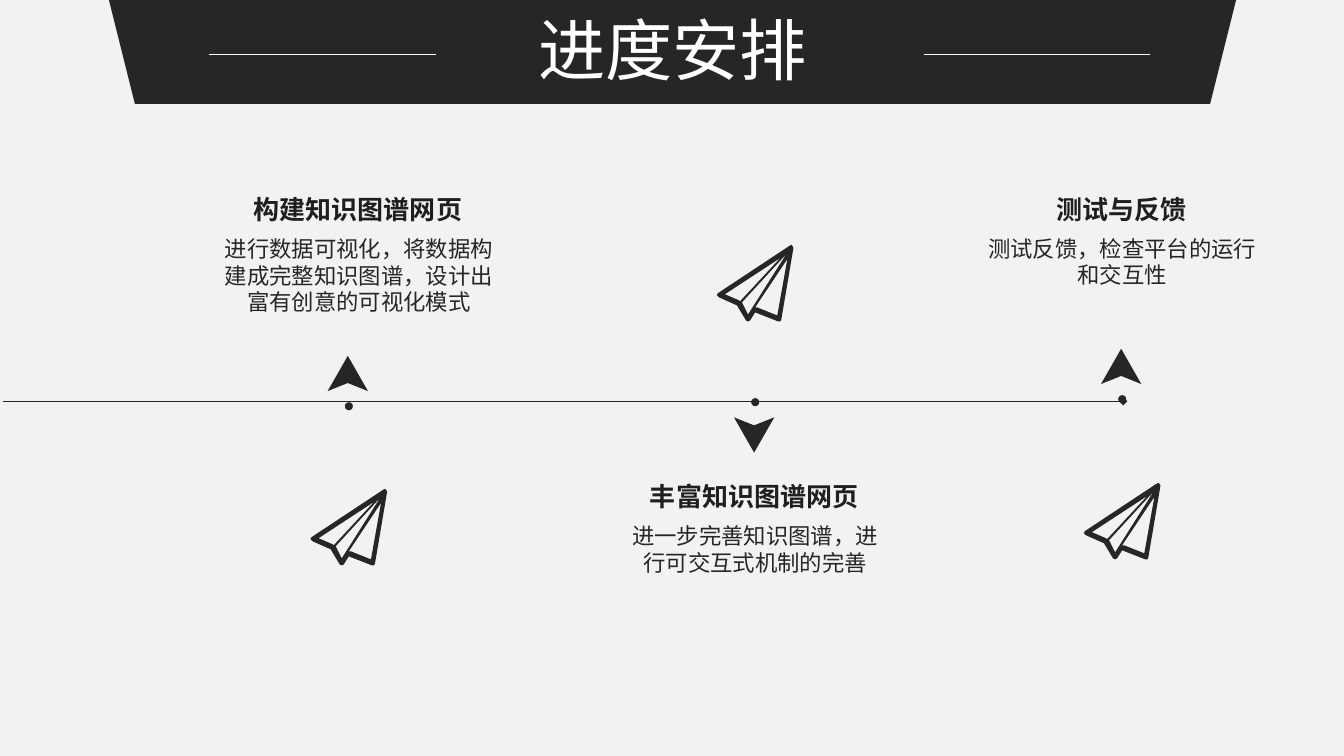
from lxml import etree
from pptx import Presentation
from pptx.dml.color import RGBColor
from pptx.enum.lang import MSO_LANGUAGE_ID
from pptx.enum.shapes import MSO_CONNECTOR, MSO_SHAPE
from pptx.enum.text import MSO_AUTO_SIZE, PP_ALIGN
from pptx.oxml.ns import qn
from pptx.util import Inches, Pt

STRAIGHT = MSO_CONNECTOR.STRAIGHT
OVAL = MSO_SHAPE.OVAL
TRAPEZOID = MSO_SHAPE.TRAPEZOID
CENTER = PP_ALIGN.CENTER
GROW = MSO_AUTO_SIZE.SHAPE_TO_FIT_TEXT
CHINESE = MSO_LANGUAGE_ID.SIMPLIFIED_CHINESE

COLORS = {
    "paper": "F2F2F2",
    "ink": "262626",
    "heading": "1F1F1F",
    "white": "FFFFFF",
}
TITLE = {"name": "Times New Roman", "size": Pt(48), "language_id": CHINESE}
HEADING = {"name": "Calibri", "size": Pt(18.6), "bold": True, "language_id": CHINESE}
BODY = {"name": "Calibri", "size": Pt(16), "language_id": CHINESE}

PLANE = [
    [(0.75, 0.01), (0.74, 0), (0.72, 0.01), (0.01, 0.48), (0, 0.5),
     (0.02, 0.52), (0.2, 0.6), (0.29, 0.75), (0.31, 0.76), (0.33, 0.75),
     (0.38, 0.67), (0.61, 0.76), (0.63, 0.76), (0.64, 0.74), (0.76, 0.03)],
    [(0.6, 0.7), (0.4, 0.62), (0.38, 0.62), (0.7, 0.14)],
    [(0.25, 0.57), (0.69, 0.09), (0.31, 0.69)],
    [(0.08, 0.49), (0.63, 0.13), (0.23, 0.56), (0.22, 0.55)],
]

MILESTONES = [
    {"x": 3.45, "tip": 3.53, "toward_line": 1, "plane_top": 4.85,
     "text_x": 3.56, "text_top": 1.87, "width": 3.05, "height": 0.91,
     "heading": "构建知识图谱网页",
     "body": "进行数据可视化，将数据构建成完整知识图谱，设计出富有创意的可视化模式"},
    {"x": 7.48, "tip": 4.49, "toward_line": -1, "plane_top": 2.43,
     "text_x": 7.49, "text_top": 4.72, "width": 2.85, "height": 0.64,
     "heading": "丰富知识图谱网页",
     "body": "进一步完善知识图谱，进行可交互式机制的完善"},
    {"x": 11.12, "tip": 3.46, "toward_line": 1, "plane_top": 4.79,
     "text_x": 11.13, "text_top": 1.87, "width": 3.05, "height": 0.64,
     "heading": "测试与反馈",
     "body": "测试反馈，检查平台的运行和交互性"},
]


class ScheduleSlide:
    def __init__(self, slide):
        self.slide = slide
        self.shapes = slide.shapes

    def color(self, name):
        return RGBColor.from_string(COLORS[name])

    def background(self, name):
        fill = self.slide.background.fill
        fill.solid()
        fill.fore_color.rgb = self.color(name)

    def paint(self, shape, name="ink"):
        shape.shadow.inherit = False
        shape.fill.solid()
        shape.fill.fore_color.rgb = self.color(name)
        shape.line.fill.background()
        return shape

    def preset(self, kind, left, top, width, height):
        box = [Inches(v) for v in (left, top, width, height)]
        return self.paint(self.shapes.add_shape(kind, *box))

    def outline(self, contours, left=0, top=0):
        contours = [[(Inches(x), Inches(y)) for x, y in c] for c in contours]
        builder = self.shapes.build_freeform(*contours[0][0])
        for index, (start, *rest) in enumerate(contours):
            if index:
                builder.move_to(*start)
            builder.add_line_segments(rest, close=True)
        return self.paint(builder.convert_to_shape(Inches(left), Inches(top)))

    def rule(self, start, end, y, color, tail=None):
        ends = [Inches(v) for v in (start, y, end, y)]
        connector = self.shapes.add_connector(STRAIGHT, *ends)
        connector.line.color.rgb = self.color(color)
        connector.line.width = Pt(0.5)
        if tail:
            line = connector.line._get_or_add_ln()
            etree.SubElement(line, qn("a:tailEnd"), type=tail)
        etree.SubElement(connector._element.spPr, qn("a:effectLst"))

    def text(self, words, center, top, width, height, style, color, spacing=None):
        box = [Inches(v) for v in (center - width / 2, top, width, height)]
        frame = self.shapes.add_textbox(*box).text_frame
        frame.word_wrap = True
        frame.auto_size = GROW
        paragraph = frame.paragraphs[0]
        paragraph.alignment = CENTER
        paragraph.line_spacing = spacing
        run = paragraph.add_run()
        run.text = words
        for attribute, value in style.items():
            setattr(run.font, attribute, value)
        run.font.color.rgb = self.color(color)

    def milestone(self, x, tip, toward_line, plane_top, text_x, text_top,
                  width, height, heading, body):
        self.preset(OVAL, x - 0.03, tip + 0.5 * toward_line - 0.04, 0.08, 0.08)
        for side in (1, -1):
            self.outline([[(x, tip + 0.27 * toward_line), (x, tip),
                           (x + 0.2 * side, tip + 0.35 * toward_line)]])
        self.outline(PLANE, x - 0.37, plane_top)
        self.text(body, text_x, text_top + 0.41, width, height, BODY, "ink")
        self.text(heading, text_x - 0.01, text_top, 2.6, 0.41, HEADING, "heading")

    def banner(self, title):
        self.preset(TRAPEZOID, 1.08, 0, 11.18, 1.03).rotation = 180
        self.text(title, 6.67, 0.12, 7.73, 0.83, TITLE, "white", 0.9)
        for start in (2.07, 9.16):
            self.rule(start, start + 2.25, 0.54, "white")


def main():
    deck = Presentation()
    deck.slide_width = Inches(13.33)
    deck.slide_height = Inches(7.5)
    schedule = ScheduleSlide(deck.slides.add_slide(deck.slide_layouts[6]))
    schedule.background("paper")
    schedule.rule(0.03, 11.14, 3.98, "ink", tail="diamond")
    for milestone in MILESTONES:
        schedule.milestone(**milestone)
    schedule.banner("进度安排")
    deck.save("out.pptx")


if __name__ == "__main__":
    main()
